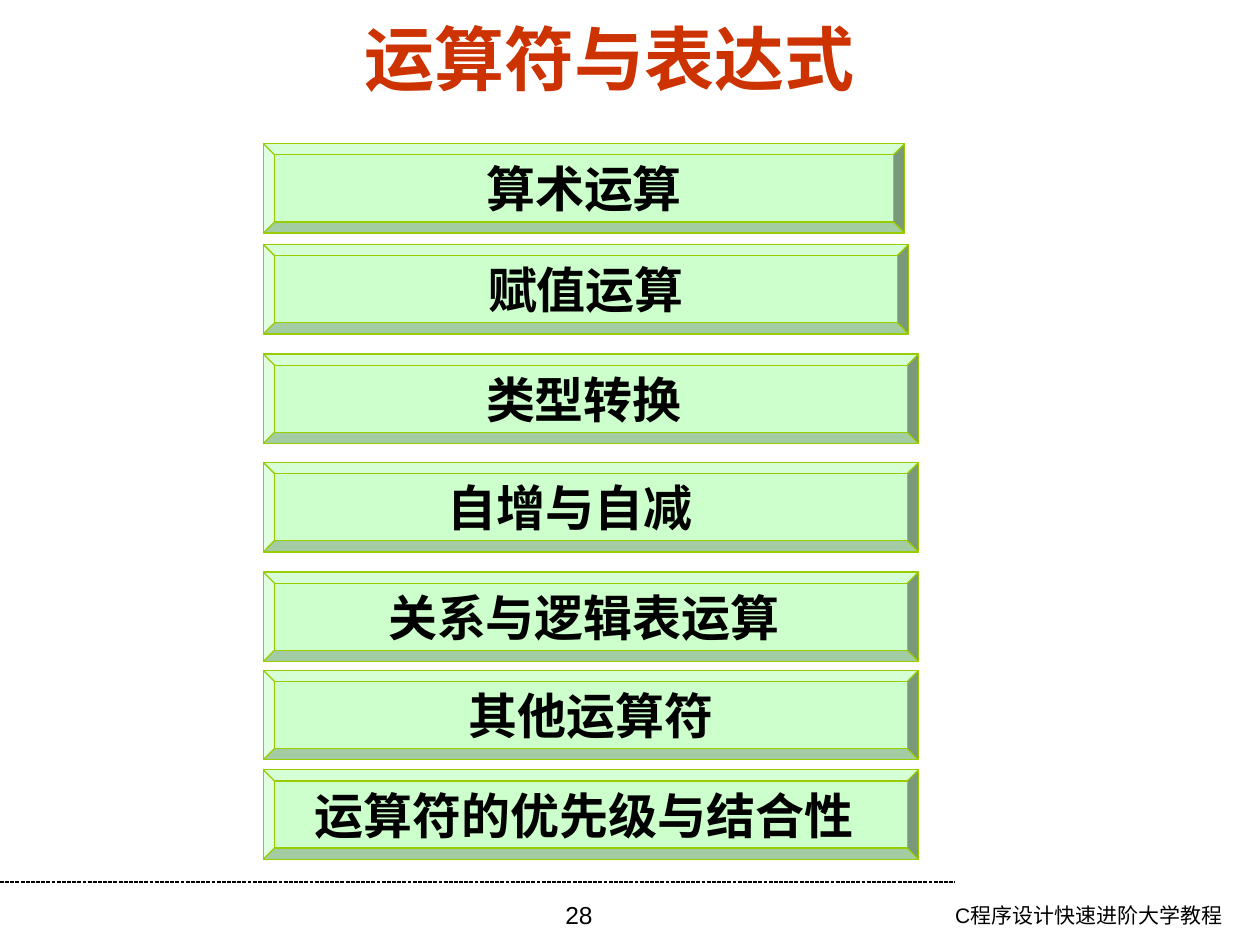
from lxml import etree
from pptx import Presentation
from pptx.dml.color import RGBColor
from pptx.enum.dml import MSO_LINE
from pptx.enum.shapes import MSO_CONNECTOR, MSO_SHAPE
from pptx.enum.text import MSO_ANCHOR, MSO_AUTO_SIZE, PP_ALIGN
from pptx.oxml.ns import qn
from pptx.util import Pt

PX = 9144
STRAIGHT, BEVEL = MSO_CONNECTOR.STRAIGHT, MSO_SHAPE.BEVEL
CENTER, RIGHT = PP_ALIGN.CENTER, PP_ALIGN.RIGHT
TOP, MIDDLE = MSO_ANCHOR.TOP, MSO_ANCHOR.MIDDLE
NO_FIT, DOTTED = MSO_AUTO_SIZE.NONE, MSO_LINE.SQUARE_DOT
COLORS = {"text": "000000", "title": "CC3300", "bar": "CCFFCC", "edge": "99CC00"}
FORMATS = {
    "title": {"size": Pt(40), "bold": True, "name": "Times New Roman"},
    "topic": {"size": Pt(28), "bold": True, "name": "Arial"},
    "course": {"size": Pt(12), "bold": False, "name": "Arial"},
    "page": {"size": Pt(14), "bold": False, "name": "Arial"},
}
BAR_HEIGHT = 71
SPACE = 11
TOPICS = [
    ("算术运算", 0, 509, 0),
    ("赋值运算", 80, 512, 0),
    ("类型转换", 167, 520, SPACE),
    ("自增与自减", 253, 520, 3 * SPACE),
    ("关系与逻辑表运算", 340, 520, SPACE),
    ("其他运算符", 418, 520, 0),
    ("运算符的优先级与结合性", 497, 520, SPACE),
]


def px(*lengths):
    """Turn whole px lengths into EMU."""
    return [length * PX for length in lengths]


def color(key):
    """Look up a named colour."""
    return RGBColor.from_string(COLORS[key])


def write(holder, text, style, ink="text", align=CENTER, anchor=TOP, wrap=True, pad=(10, 5, 10, 5)):
    """Fill a shape with one formatted paragraph."""
    frame = holder.text_frame
    margins = dict(zip(("margin_left", "margin_top", "margin_right", "margin_bottom"), px(*pad)))
    layout = {"auto_size": NO_FIT, "word_wrap": wrap, "vertical_anchor": anchor, **margins}
    for attribute, value in layout.items():
        setattr(frame, attribute, value)
    paragraph = frame.paragraphs[0]
    paragraph.alignment = align
    run = paragraph.add_run()
    run.text = text
    for attribute, value in FORMATS[style].items():
        setattr(run.font, attribute, value)
    run.font.color.rgb = color(ink)


def add_title(slide, left, top, width, height):
    """Place the heading in the title placeholder."""
    title = slide.shapes.title
    title.left, title.top, title.width, title.height = px(left, top, width, height)
    write(title, "运算符与表达式", "title", ink="title", anchor=MIDDLE, pad=(0, 0, 0, 0))


def add_topics(slide, left, top):
    """Stack the bevelled topic bars below the given corner."""
    for topic, offset, width, indent in TOPICS:
        bar = slide.shapes.add_shape(BEVEL, *px(left, top + offset, width, BAR_HEIGHT))
        bar.adjustments[0] = 0.125
        bar.shadow.inherit = False
        bar.fill.solid()
        bar.fill.fore_color.rgb = color("bar")
        bar.line.color.rgb = color("edge")
        bar.line.width = Pt(0.75)
        write(bar, topic, "topic", anchor=MIDDLE, wrap=False, pad=(10, 5, 10 + indent, 5))


def add_footer(slide, left, top):
    """Draw the footer rule, the page number and the course name."""
    rule = slide.shapes.add_connector(STRAIGHT, *px(left, top, left + 758, top))
    rule.line.color.rgb = color("text")
    rule.line.width = Pt(0.75)
    rule.line.dash_style = DOTTED
    etree.SubElement(rule._element.spPr, qn("a:effectLst"))
    course = slide.shapes.add_textbox(*px(left + 657, top + 11, 323, 39))
    write(course, "C程序设计快速进阶大学教程", "course", align=RIGHT)
    page = slide.shapes.add_textbox(*px(left + 343, top + 9, 233, 41))
    write(page, "28", "page")


def main():
    """Build and save the slide."""
    deck = Presentation()
    deck.slide_width, deck.slide_height = px(1000, 750)
    slide = deck.slides.add_slide(deck.slide_layouts[5])
    add_footer(slide, 0, 700)
    add_title(slide, 57, 21, 853, 50)
    add_topics(slide, 209, 114)
    deck.save("out.pptx")


if __name__ == "__main__":
    main()
